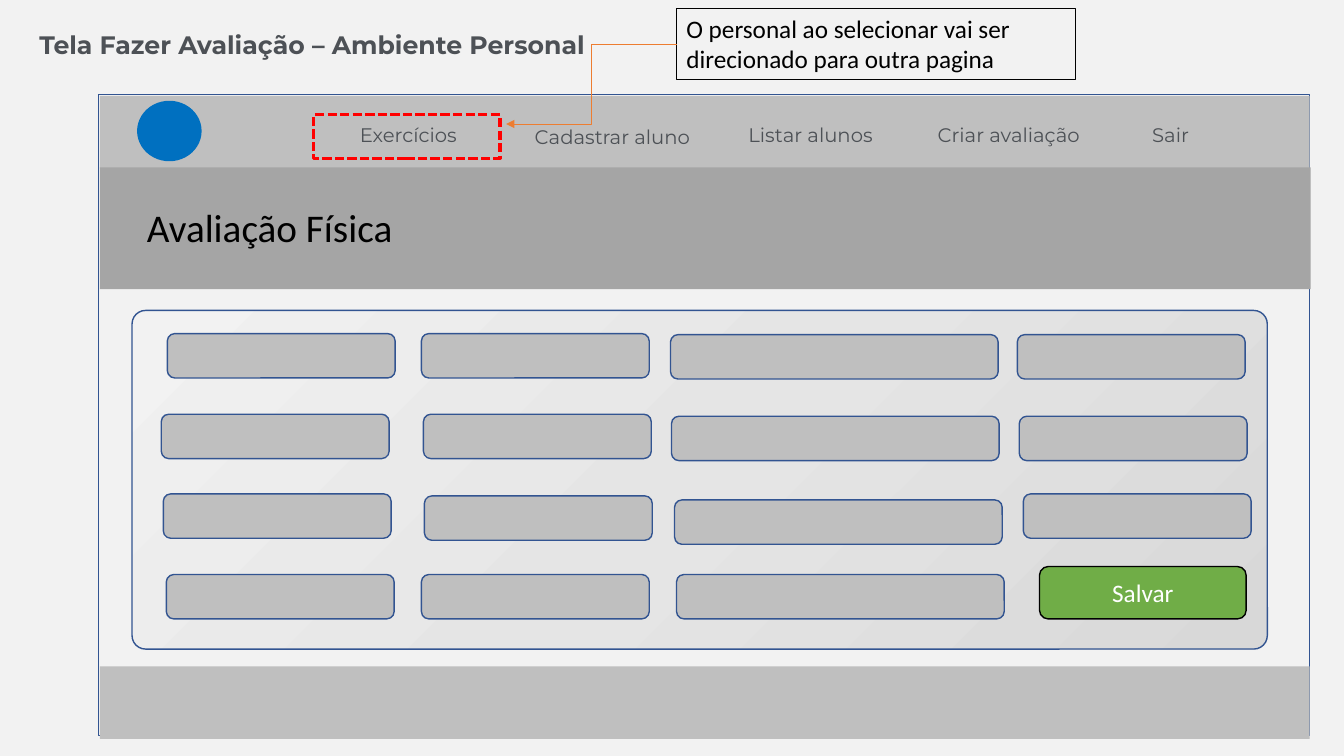
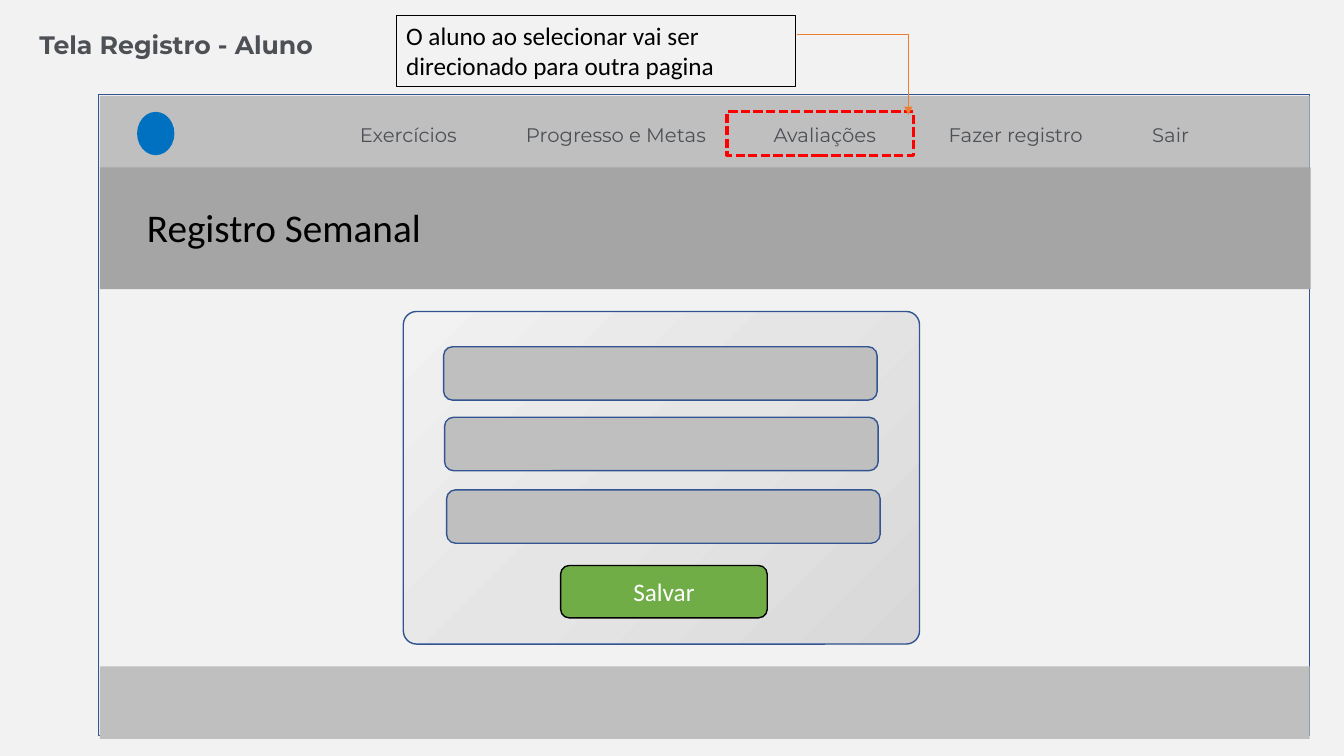
from lxml import etree
from pptx import Presentation
from pptx.dml.color import RGBColor
from pptx.enum.dml import MSO_LINE
from pptx.enum.shapes import MSO_CONNECTOR, MSO_SHAPE
from pptx.enum.text import MSO_ANCHOR, MSO_AUTO_SIZE, PP_ALIGN
from pptx.oxml import parse_xml
from pptx.oxml.ns import nsdecls, qn
from pptx.util import Inches, Pt

RECT, ROUND, OVAL = MSO_SHAPE.RECTANGLE, MSO_SHAPE.ROUNDED_RECTANGLE, MSO_SHAPE.OVAL
ELBOW, DASH = MSO_CONNECTOR.ELBOW, MSO_LINE.SQUARE_DOT
LEFT, CENTER = PP_ALIGN.LEFT, PP_ALIGN.CENTER
TOP, MIDDLE = MSO_ANCHOR.TOP, MSO_ANCHOR.MIDDLE
NO_FIT = MSO_AUTO_SIZE.NONE

PAPER = RGBColor(0xF2, 0xF2, 0xF2)
SILVER = RGBColor(0xBF, 0xBF, 0xBF)
GRAY = RGBColor(0xA5, 0xA5, 0xA5)
INK = RGBColor(0x4D, 0x51, 0x56)
NAVY = RGBColor(0x32, 0x54, 0x91)
BLUE = RGBColor(0x00, 0x70, 0xC0)
GREEN = RGBColor(0x70, 0xAD, 0x47)
RED = RGBColor(0xFF, 0x00, 0x00)
ORANGE = RGBColor(0xED, 0x7D, 0x31)
BLACK = RGBColor(0x00, 0x00, 0x00)
WHITE = RGBColor(0xFF, 0xFF, 0xFF)
SHADES = ((0, RGBColor(0xD8, 0xD8, 0xD8)), (50, RGBColor(0xE5, 0xE5, 0xE5)), (100, PAPER))

HEAD, BODY = "Montserrat", "Calibri"


class Deck:
    """Builds wireframe slides in one shared style."""

    def __init__(self):
        self.prs = Presentation()
        self.prs.slide_width, self.prs.slide_height = Inches(13.33), Inches(7.5)
        fill = self.prs.slide_master.background.fill
        fill.solid()
        fill.fore_color.rgb = PAPER
        self.slide = None

    def style(self, frame, text, size, color, font=BODY, align=LEFT, anchor=TOP, bold=False):
        frame.word_wrap = True
        frame.auto_size = NO_FIT
        frame.vertical_anchor = anchor
        frame.text = text
        para = frame.paragraphs[0]
        para.alignment = align
        para.font.name, para.font.size, para.font.bold = font, Pt(size), bold
        para.font.color.rgb = color

    def box(self, at, fill=None, line=None, width=1, kind=RECT):
        shape = self.slide.shapes.add_shape(kind, *map(Inches, at))
        shape.shadow.inherit = False
        if fill is None:
            shape.fill.background()
        else:
            shape.fill.solid()
            shape.fill.fore_color.rgb = fill
        if line is None:
            shape.line.fill.background()
        else:
            shape.line.color.rgb = line
            shape.line.width = Pt(width)
        return shape

    def label(self, at, text, size, color, **looks):
        box = self.slide.shapes.add_textbox(*map(Inches, at))
        self.style(box.text_frame, text, size, color, **looks)

    def page(self, title, heading, mark, items):
        self.slide = self.prs.slides.add_slide(self.prs.slide_layouts[5])
        name = self.slide.shapes.title
        name.left, name.top, name.width, name.height = map(Inches, (0.29, 0.24, 6.05, 0.4))
        self.style(name.text_frame, title, 18, INK, font=HEAD, bold=True)
        self.box((0.98, 0.94, 12.01, 6.36), PAPER, NAVY)
        self.box((0.99, 0.95, 12, 0.72), SILVER)
        self.box((0.99, 1.66, 12.01, 1.21), GRAY)
        self.box((0.99, 6.61, 12, 0.72), SILVER)
        self.box(mark, BLUE, kind=OVAL)
        for text, left, top, width in items:
            self.label((left, top, width, 0.34), text, 14, INK, font=HEAD, align=CENTER)
        self.label((1.36, 1.97, 4, 0.57), heading, 28, BLACK)

    def panel(self, *at):
        shape = self.box(at, PAPER, NAVY, kind=ROUND)
        shape.adjustments[0] = 0.04
        stops = "".join(
            f'<a:gs pos="{pos * 1000}"><a:srgbClr val="{color}"/></a:gs>' for pos, color in SHADES
        )
        blend = parse_xml(
            f'<a:gradFill {nsdecls("a")} rotWithShape="1"><a:gsLst>{stops}</a:gsLst>'
            '<a:path path="circle"><a:fillToRect l="100000" t="100000"/></a:path></a:gradFill>'
        )
        props = shape.element.spPr
        props.replace(props.find(qn("a:solidFill")), blend)

    def field(self, *at):
        self.box(at, SILVER, NAVY, kind=ROUND)

    def button(self, left, top, text):
        shape = self.box((left, top, 2.05, 0.52), GREEN, BLACK, kind=ROUND)
        self.style(shape.text_frame, text, 18, WHITE, align=CENTER, anchor=MIDDLE)

    def focus(self, left, top):
        shape = self.box((left, top, 1.85, 0.43), line=RED, width=2.25)
        shape.line.dash_style = DASH

    def note(self, left, top, text):
        shape = self.box((left, top, 3.96, 0.71), line=BLACK, width=0.75)
        self.style(shape.text_frame, text, 18, BLACK)

    def arrow(self, start, end, bend):
        link = self.slide.shapes.add_connector(ELBOW, *map(Inches, start + end))
        link.line.color.rgb = ORANGE
        link.line.width = Pt(0.5)
        props = link.element.spPr
        props.find(qn("a:prstGeom")).set("prst", bend)
        etree.SubElement(props.find(qn("a:ln")), qn("a:tailEnd"), type="triangle")
        etree.SubElement(props, qn("a:effectLst"))


def review(deck):
    deck.page(
        "Tela Fazer Avaliação – Ambiente Personal",
        "Avaliação Física",
        (1.36, 1, 0.64, 0.6),
        (
            ("Exercícios", 3.09, 1.17, 1.92),
            ("Cadastrar aluno", 5.06, 1.19, 2.03),
            ("Listar alunos", 7.08, 1.17, 1.92),
            ("Criar avaliação", 9.08, 1.17, 1.85),
            ("Sair", 11.02, 1.17, 1.18),
        ),
    )
    deck.focus(3.11, 1.14)
    deck.panel(1.31, 3.08, 11.26, 3.36)
    columns = (
        (2.26, ((1.66, 3.31), (1.6, 4.11), (1.62, 4.9), (1.65, 5.7))),
        (2.26, ((4.18, 3.31), (4.2, 4.11), (4.21, 4.92), (4.18, 5.7))),
        (3.25, ((6.65, 3.32), (6.66, 4.13), (6.69, 4.96), (6.71, 5.7))),
        (2.26, ((10.09, 3.32), (10.11, 4.13), (10.15, 4.9))),
    )
    for width, spots in columns:
        for left, top in spots:
            deck.field(left, top, width, 0.44)
    deck.button(10.31, 5.62, "Salvar")
    deck.note(6.71, 0.08, "O personal ao selecionar vai ser direcionado para outra pagina")
    deck.arrow((6.71, 0.44), (5.02, 1.23), "bentConnector3")


def record(deck):
    deck.page(
        "Tela Registro - Aluno",
        "Registro Semanal",
        (1.36, 1.11, 0.37, 0.43),
        (
            ("Exercícios", 3.09, 1.17, 1.92),
            ("Progresso e Metas", 5.02, 1.17, 2.18),
            ("Avaliações", 7.22, 1.17, 1.92),
            ("Fazer registro", 9.15, 1.17, 1.85),
            ("Sair", 11.02, 1.17, 1.18),
        ),
    )
    deck.focus(7.21, 1.11)
    deck.panel(4, 3.09, 5.12, 3.3)
    for left, top in ((4.4, 3.44), (4.41, 4.14), (4.43, 4.86)):
        deck.field(left, top, 4.3, 0.53)
    deck.button(5.56, 5.61, "Salvar")
    deck.note(3.93, 0.15, "O aluno ao selecionar vai ser direcionado para outra pagina")
    deck.arrow((7.9, 0.34), (9.01, 1.14), "bentConnector2")


def main():
    deck = Deck()
    review(deck)
    record(deck)
    deck.prs.save("out.pptx")


if __name__ == "__main__":
    main()
